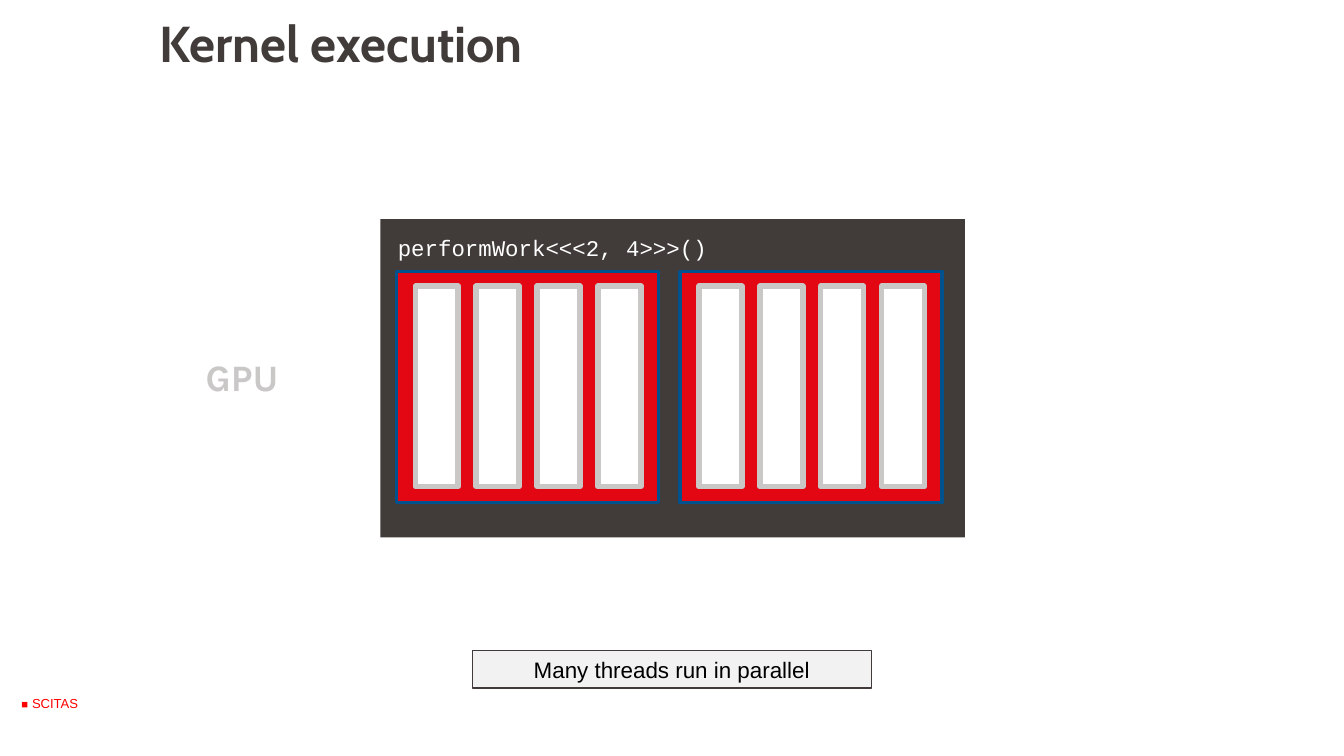
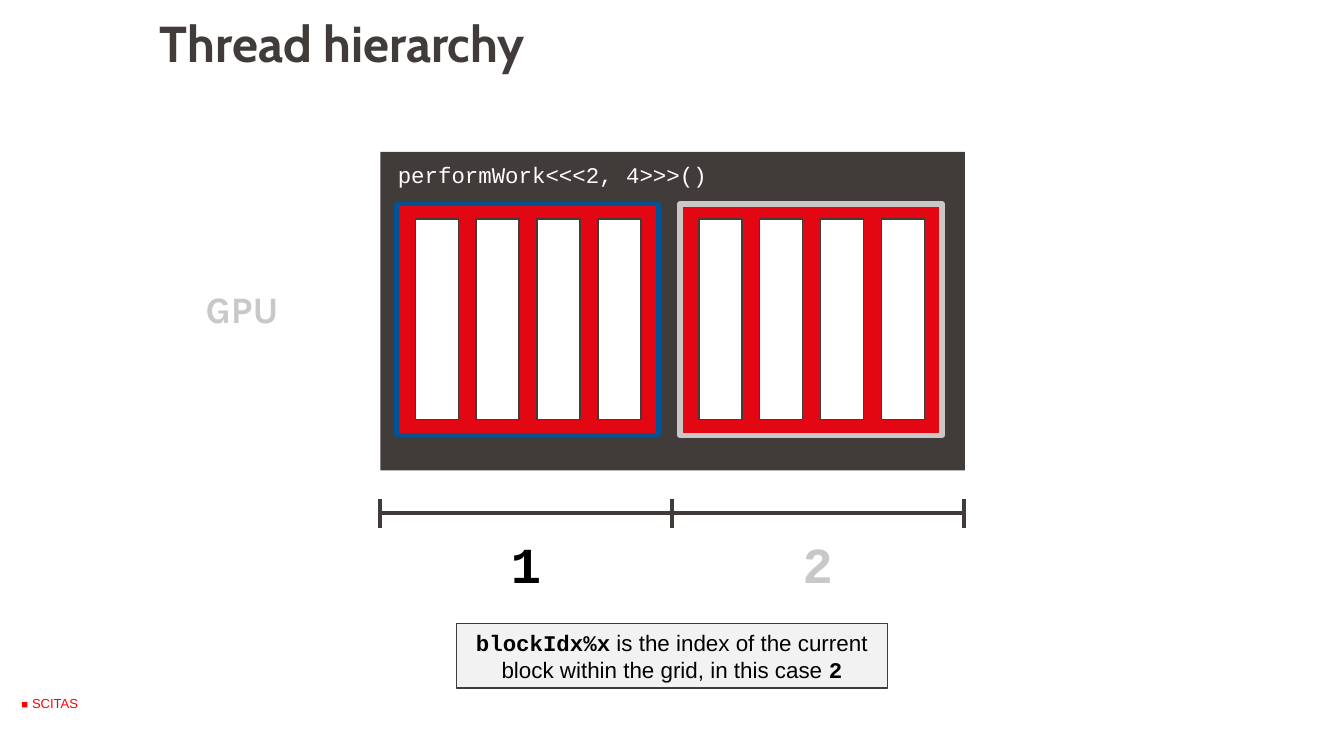
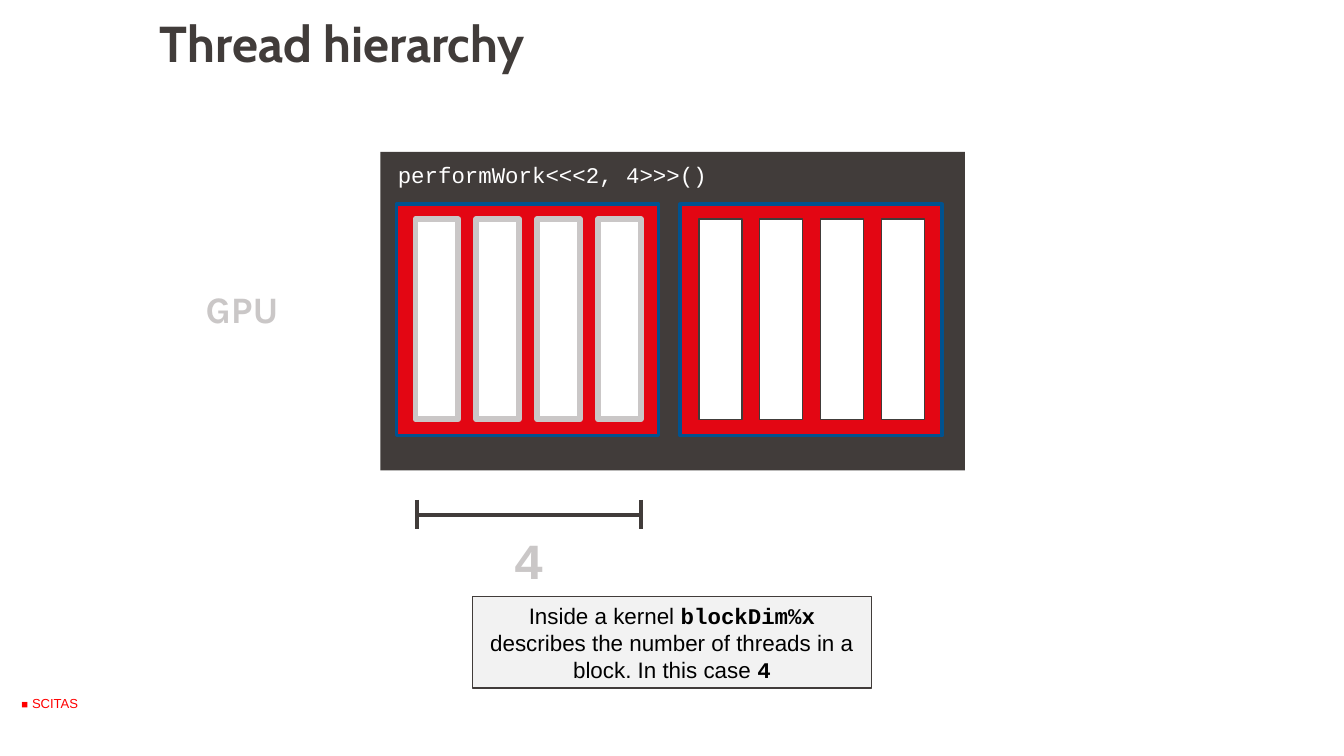
from lxml.etree import SubElement
from pptx import Presentation
from pptx.dml.color import RGBColor
from pptx.enum.shapes import MSO_CONNECTOR, MSO_SHAPE
from pptx.enum.text import MSO_ANCHOR as Anchor, PP_ALIGN as Align
from pptx.oxml.ns import qn
from pptx.util import Inches, Pt

DARK, GREY, RED, WHITE, BLACK = "413C3A", "CAC7C7", "E30613", "FFFFFF", "000000"
BLUE, PALE, FOOTER_RED = "00528F", "F2F2F2", "FF0000"
SANS, MONO, TITLE_FONT, LABEL_FONT = "Arial", "Courier New", "Cabin", "Karla"
INSETS = (0.08, 0.04, 0.08, 0.04)
BLOCK_EDGE, THREAD_EDGE, ACTIVE_EDGE = (BLUE, 2), (DARK, 0.75), (GREY, 3)
PANEL_LEFT, PANEL_WIDTH, PANEL_HEIGHT = 2.83, 4.35, 2.37
BLOCK_PITCH, THREAD_PITCH = 2.11, 0.453
CAPTION_MIDDLE, CAPTION_BOTTOM = 5, 5.12


def paint(color_format, color):
    """Set a colour from a hex string."""
    color_format.rgb = RGBColor.from_string(color)


def set_font(font, name, size, color, bold=False):
    """Set all the traits of a font."""
    font.name, font.size, font.bold = name, Pt(size), bold
    paint(font.color, color)


def set_frame(frame, insets, anchor):
    """Wrap a text frame and set its insets and anchor."""
    frame.word_wrap = True
    frame.vertical_anchor = anchor
    (frame.margin_left, frame.margin_top,
     frame.margin_right, frame.margin_bottom) = map(Inches, insets)


def write(frame, text, font, align=Align.LEFT, anchor=Anchor.MIDDLE,
          insets=INSETS, spacing=1.0):
    """Write one paragraph into a text frame."""
    set_frame(frame, insets, anchor)
    para = frame.paragraphs[0]
    para.text, para.alignment, para.line_spacing = text, align, spacing
    set_font(para.font, *font)


def add_label(page, box, text, font, **layout):
    """Add a one-paragraph text box."""
    label = page.shapes.add_textbox(*map(Inches, box))
    write(label.text_frame, text, font, **layout)


def add_rect(page, box, fill, edge=None):
    """Add a flat rectangle with an optional (colour, width) edge."""
    rect = page.shapes.add_shape(MSO_SHAPE.RECTANGLE, *map(Inches, box))
    rect.shadow.inherit = False
    rect.fill.solid()
    paint(rect.fill.fore_color, fill)
    if edge:
        paint(rect.line.color, edge[0])
        rect.line.width = Pt(edge[1])
    else:
        rect.line.fill.background()
    return rect


def add_line(page, start_x, start_y, end_x, end_y):
    """Add a dark straight line."""
    line = page.shapes.add_connector(
        MSO_CONNECTOR.STRAIGHT, *map(Inches, (start_x, start_y, end_x, end_y)))
    SubElement(line._element.spPr, qn("a:effectLst"))
    paint(line.line.color, DARK)
    line.line.width = Pt(2.25)


def add_page(deck, title):
    """Add a blank slide with the shared title and footer."""
    page = deck.slides.add_slide(deck.slide_layouts[6])
    add_label(page, (0.06, 5.07, 0.31, 0.31), "■", (SANS, 6, FOOTER_RED, True),
              anchor=Anchor.TOP, insets=(0.1, 0.17, 0.1, 0), spacing=0.9)
    add_label(page, (0.14, 4.92, 0.56, 0.62), "SCITAS", (SANS, 7, FOOTER_RED),
              insets=(0.1, 0.05, 0.1, 0.05))
    add_label(page, (0.99, 0.14, 8.5, 1.17), title, (TITLE_FONT, 27, DARK, True),
              anchor=Anchor.TOP, insets=(0.2, 0, 0.08, 0.05), spacing=0.9)
    return page


def add_block(page, left, top, edge, thread_edge):
    """Add a block that holds four threads."""
    add_rect(page, (left, top, 1.95, 1.72), RED, edge)
    for thread in range(4):
        thread_left = left + 0.14 + thread * THREAD_PITCH
        add_rect(page, (thread_left, top + 0.11, 0.32, 1.49), WHITE, thread_edge)


def add_gpu(page, top, call_gap, blocks):
    """Add the GPU panel with its kernel call and its blocks."""
    add_rect(page, (PANEL_LEFT, top, PANEL_WIDTH, PANEL_HEIGHT), DARK)
    call = add_rect(page, (PANEL_LEFT + 0.05, top + call_gap, 2.55, 0.28), DARK)
    write(call.text_frame, "performWork<<<2, 4>>>()", (MONO, 12, WHITE))
    for index, (edge, thread_edge) in enumerate(blocks):
        add_block(page, PANEL_LEFT + 0.12 + index * BLOCK_PITCH, top + 0.39,
                  edge, thread_edge)
    add_label(page, (1.45, top + 0.99, 0.81, 0.39), "GPU",
              (LABEL_FONT, 20, GREY, True), anchor=Anchor.BOTTOM, spacing=0.9)


def add_scale(page, left, axis, length, label_gap, labels):
    """Add a ruler with one (text, colour) label below each equal segment."""
    step = length / len(labels)
    add_line(page, left, axis, left + length, axis)
    for tick in range(len(labels) + 1):
        tick_x = left + tick * step
        add_line(page, tick_x, axis - 0.11, tick_x, axis + 0.11)
    for index, (text, color) in enumerate(labels):
        middle = left + (index + 0.5) * step
        add_label(page, (middle - 0.28, axis + label_gap, 0.56, 0.53), text,
                  (MONO, 27, color, True), align=Align.CENTER)


def add_caption(page, width, height, spans):
    """Add the centred caption from (text, is_code) spans."""
    box = (CAPTION_MIDDLE - width / 2, CAPTION_BOTTOM - height, width, height)
    caption = add_rect(page, box, PALE, THREAD_EDGE)
    set_frame(caption.text_frame, INSETS, Anchor.TOP)
    para = caption.text_frame.paragraphs[0]
    para.alignment = Align.CENTER
    for text, is_code in spans:
        span = para.add_run()
        span.text = text
        set_font(span.font, MONO if is_code else SANS, 12, BLACK, is_code)


def build_execution(deck):
    """Build the slide on kernel execution."""
    page = add_page(deck, "Kernel execution")
    add_gpu(page, 1.63, 0.07, [(BLOCK_EDGE, ACTIVE_EDGE)] * 2)
    add_caption(page, 2.97, 0.28, [("Many threads run in parallel", False)])


def build_block_index(deck):
    """Build the slide on the block index."""
    page = add_page(deck, "Thread hierarchy")
    add_gpu(page, 1.13, 0.03,
            [(("005493", 2.25), THREAD_EDGE), (ACTIVE_EDGE, THREAD_EDGE)])
    add_scale(page, PANEL_LEFT, 3.82, 4.34, 0.11, [("1", BLACK), ("2", GREY)])
    add_caption(page, 3.21, 0.48, [
        ("blockIdx%x", True),
        (" is the index of the current block within the grid, in this case ", False),
        ("2", True)])


def build_block_size(deck):
    """Build the slide on the number of threads in a block."""
    page = add_page(deck, "Thread hierarchy")
    add_gpu(page, 1.13, 0.03,
            [(BLOCK_EDGE, ACTIVE_EDGE), (BLOCK_EDGE, THREAD_EDGE)])
    add_scale(page, 3.1, 3.83, 1.67, 0.07, [("4", GREY)])
    add_caption(page, 2.97, 0.68, [
        ("Inside a kernel ", False),
        ("blockDim%x", True),
        (" describes the number of threads in a block. In this case ", False),
        ("4", True)])


def main():
    """Build and save the deck."""
    deck = Presentation()
    deck.slide_width = Inches(10)
    deck.slide_height = deck.slide_width * 9 // 16
    build_execution(deck)
    build_block_index(deck)
    build_block_size(deck)
    deck.save("out.pptx")


if __name__ == "__main__":
    main()
